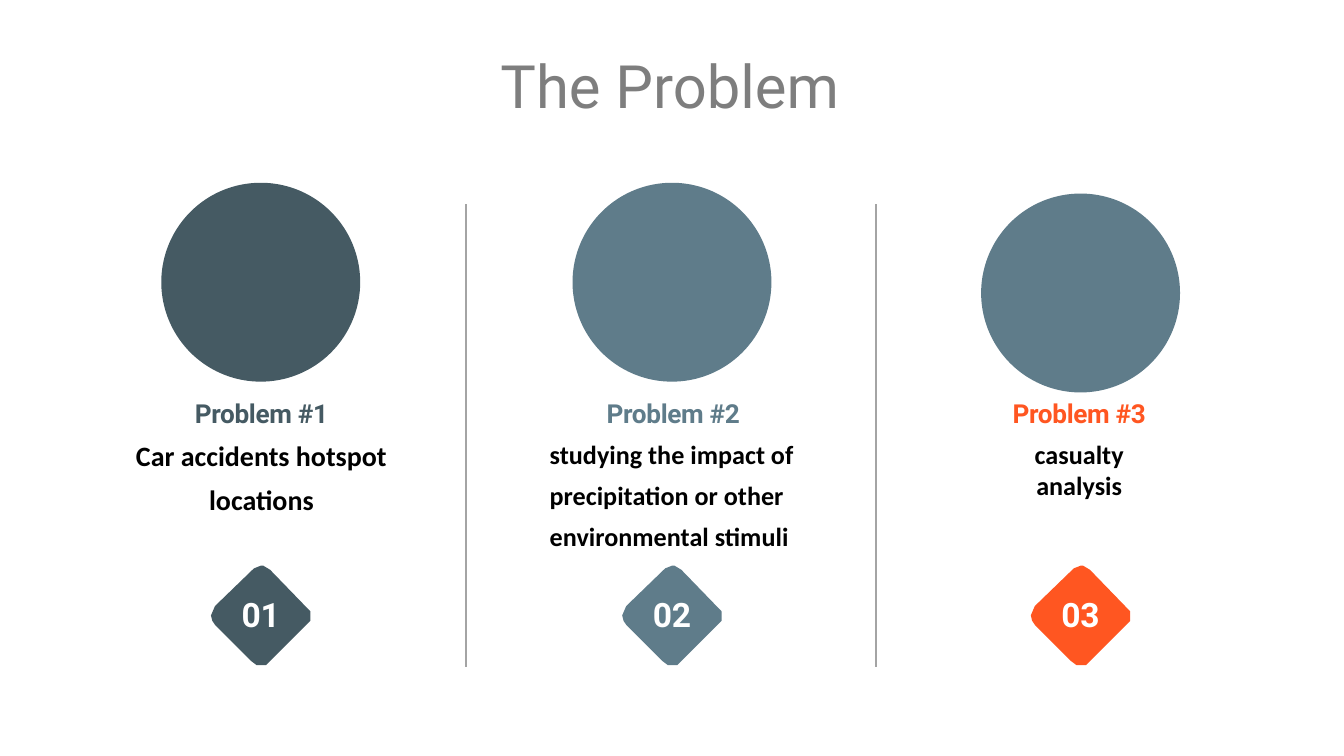
"""Build a three-column slide that lists the problems under study."""
from dataclasses import dataclass

import lxml.etree
import pptx
import pptx.dml.color
import pptx.enum.shapes
import pptx.enum.text
import pptx.oxml.ns
import pptx.util

Inches = pptx.util.Inches
Pt = pptx.util.Pt
Align = pptx.enum.text.PP_ALIGN
Shape = pptx.enum.shapes.MSO_SHAPE


@dataclass(frozen=True)
class Theme:
    dark: str = "455A63"
    slate: str = "5F7C8A"
    orange: str = "FF5621"
    title: str = "7E7E7E"
    divider: str = "A4A4A4"
    body: str = "000000"
    number: str = "FFFFFF"
    heading_font: str = "Roboto"
    body_font: str = "Calibri"
    title_size: int = 32
    number_size: int = 18
    large_size: int = 15
    text_size: int = 14


THEME = Theme()
DIAMOND = [
    (0.37, 0), (0.32, 0.02), (0.03, 0.3), (0, 0.37), (0.01, 0.41), (0.03, 0.44),
    (0.3, 0.71), (0.34, 0.74), (0.37, 0.74), (0.41, 0.74), (0.44, 0.71),
    (0.71, 0.44), (0.74, 0.41), (0.74, 0.37), (0.74, 0.34), (0.44, 0.03), (0.39, 0),
]


def color(value):
    return pptx.dml.color.RGBColor.from_string(value)


def apply_format(target, values):
    for name, value in values.items():
        setattr(target, name, value)


def text_style(font, size, fill, bold=True, spacing=0):
    return {"font": {"name": font, "size": Pt(size), "bold": bold},
            "fill": fill, "spacing": spacing}


def heading_style(size, fill, bold=True):
    return text_style(THEME.heading_font, size, fill, bold, -20 if bold else 0)


def body_style(size):
    return text_style(THEME.body_font, size, THEME.body)


def add_text(slide, box, inset, paragraphs):
    shape = slide.shapes.add_textbox(*map(Inches, box))
    frame = shape.text_frame
    apply_format(frame, {"word_wrap": True, "margin_left": 0, "margin_right": 0,
                         "margin_top": Inches(inset), "margin_bottom": 0})
    for index, (text, style, layout) in enumerate(paragraphs):
        paragraph = frame.add_paragraph() if index else frame.paragraphs[0]
        paragraph.text = text
        apply_format(paragraph, {"alignment": Align.CENTER, **layout})
        for run in paragraph.runs:
            apply_format(run.font, style["font"])
            run.font.color.rgb = color(style["fill"])
            run.font._element.set("spc", str(style["spacing"]))


def paint(shape, fill):
    shape.shadow.inherit = False
    shape.fill.solid()
    shape.fill.fore_color.rgb = color(fill)
    shape.line.fill.background()


def add_circle(slide, center, top, fill):
    diameter = 1.48
    box = (center - diameter / 2, top, diameter, diameter)
    paint(slide.shapes.add_shape(Shape.OVAL, *map(Inches, box)), fill)


def add_badge(slide, center, number, fill):
    left, top = center - 0.37, 4.21
    points = [(Inches(left + x), Inches(top + y)) for x, y in DIAMOND]
    builder = slide.shapes.build_freeform(*points[0])
    builder.add_line_segments(points[1:], close=True)
    paint(builder.convert_to_shape(), fill)
    style = heading_style(THEME.number_size, THEME.number)
    add_text(slide, (center - 0.16, 4.41, 0.32, 0.33), 0.01, [(number, style, {})])


def add_divider(slide, x):
    line = slide.shapes.add_connector(
        pptx.enum.shapes.MSO_CONNECTOR.STRAIGHT,
        Inches(x), Inches(1.52), Inches(x), Inches(4.96))
    line.line.color.rgb = color(THEME.divider)
    line.line.width = Pt(1)
    lxml.etree.SubElement(line._element.spPr, pptx.oxml.ns.qn("a:effectLst"))


def main():
    presentation = pptx.Presentation()
    width = Inches(10)
    apply_format(presentation, {"slide_width": width, "slide_height": width * 9 // 16})
    slide = presentation.slides.add_slide(presentation.slide_layouts[6])
    title_style = heading_style(THEME.title_size, THEME.title, bold=False)
    add_text(slide, (0.41, -0.02, 9.15, 1.14), 0.38, [("The Problem", title_style, {})])

    for x in (3.47, 6.52):
        add_divider(slide, x)

    large, normal = body_style(THEME.large_size), body_style(THEME.text_size)
    spaced = {"line_spacing": 1.3}
    columns = [
        (1.94, 1.36, THEME.dark, THEME.dark, (1, 1.89, 0.97), 0.08,
         {"space_before": Pt(5.8)},
         [("Car accidents hotspot", large, {"space_before": Pt(5.1)}),
          ("locations", large, {"space_before": Pt(5.5)})]),
        (5, 1.36, THEME.slate, THEME.slate, (4.09, 1.84, 1.24), 0.01, spaced,
         [("studying the impact of precipitation or other environmental stimuli",
           normal, {**spaced, "alignment": Align.LEFT})]),
        (8.04, 1.44, THEME.slate, THEME.orange, (7.34, 1.38, 0.63), 0.08,
         {"space_before": Pt(6)},
         [("casualty\vanalysis", normal, {"space_before": Pt(5)})]),
    ]
    for index, column in enumerate(columns, 1):
        center, top, circle, accent, (left, width, height), inset, layout, body = column
        heading = (f"Problem #{index}", heading_style(THEME.text_size, accent), layout)
        add_circle(slide, center, top, circle)
        add_text(slide, (left, 2.88, width, height), inset, [heading, *body])
        add_badge(slide, center, f"{index:02d}", accent)

    presentation.save("out.pptx")


if __name__ == "__main__":
    main()
